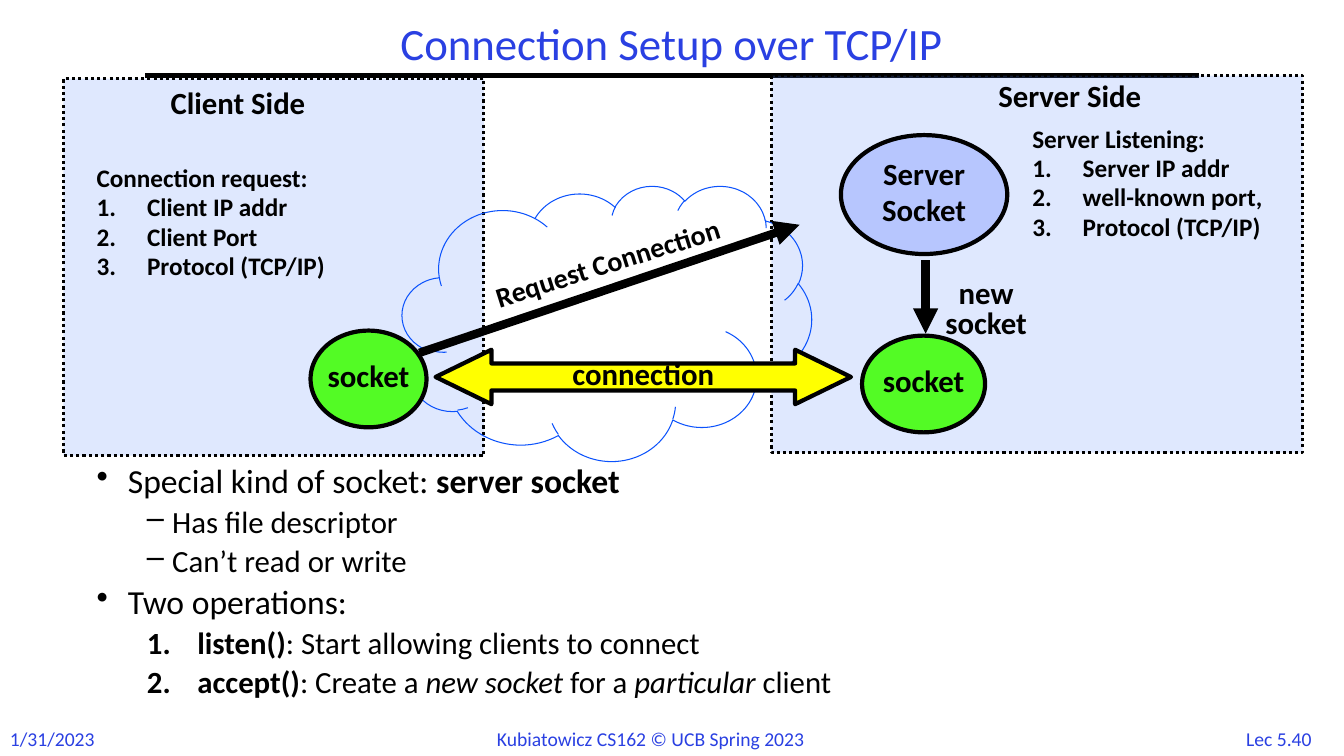
from lxml import etree
from pptx import Presentation
from pptx.dml.color import RGBColor
from pptx.enum.dml import MSO_LINE
from pptx.enum.shapes import MSO_CONNECTOR, MSO_SHAPE
from pptx.enum.text import MSO_ANCHOR, MSO_AUTO_SIZE, PP_ALIGN
from pptx.oxml.ns import qn
from pptx.util import Inches, Pt

RECTANGLE, ELLIPSE = MSO_SHAPE.RECTANGLE, MSO_SHAPE.OVAL
CLOUD, DOUBLE_ARROW = MSO_SHAPE.CLOUD, MSO_SHAPE.LEFT_RIGHT_ARROW
STRAIGHT, DOTTED = MSO_CONNECTOR.STRAIGHT, MSO_LINE.ROUND_DOT
LEFT, CENTER = PP_ALIGN.LEFT, PP_ALIGN.CENTER
MIDDLE, NO_AUTOFIT = MSO_ANCHOR.MIDDLE, MSO_AUTO_SIZE.NONE

COLORS = {
    "black": "000000", "heading": "2A40E2", "panel": "618FFD", "cloud": "0B52FC",
    "socket": "53FB25", "server": "B7C6FE", "connection": "FFFF00",
}


def color(name):
    return RGBColor.from_string(COLORS[name])


class SlideBuilder:
    font_name = "Calibri"

    def __init__(self, slide):
        self.slide = slide
        self.shapes = slide.shapes

    def format_run(self, run, size, color_name="black", style=""):
        run.font.name = self.font_name
        run.font.size = Pt(size)
        run.font.color.rgb = color(color_name)
        run.font.bold = "b" in style
        run.font.italic = "i" in style

    def bullet(self, paragraph, mark, margin, hanging):
        properties = paragraph._p.get_or_add_pPr()
        properties.set("marL", str(Inches(margin)))
        properties.set("indent", str(-Inches(hanging)))
        if mark == "1.":
            etree.SubElement(properties, qn("a:buAutoNum"), type="arabicPeriod")
        else:
            etree.SubElement(properties, qn("a:buChar"), char=mark)

    def lines(self, text_frame, texts, size, color_name="black", style="b",
              align=CENTER, spacing=0.8, gap=0.2):
        text_frame.text = "\n".join(texts)
        for index, paragraph in enumerate(text_frame.paragraphs):
            paragraph.alignment = align
            paragraph.line_spacing = spacing
            if index:
                paragraph.space_before = Pt(size * gap)
            for run in paragraph.runs:
                self.format_run(run, size, color_name, style)

    def title(self, text, *box):
        title = self.shapes.title
        title.left, title.top, title.width, title.height = map(Inches, box)
        title.text_frame.auto_size = NO_AUTOFIT
        title.text_frame.vertical_anchor = MIDDLE
        self.lines(title.text_frame, [text], 32, "heading", "", spacing=0.9)

    def text_box(self, *box):
        shape = self.shapes.add_textbox(*map(Inches, box))
        shape.text_frame.word_wrap = True
        return shape

    def label(self, texts, size, *box, **style):
        shape = self.text_box(*box)
        self.lines(shape.text_frame, texts, size, **style)
        return shape

    def numbered_list(self, heading, items, *box):
        shape = self.text_box(*box)
        self.lines(shape.text_frame, [heading, *items], 18, align=LEFT)
        for paragraph in shape.text_frame.paragraphs[1:]:
            self.bullet(paragraph, "1.", 0.5, 0.5)

    def outline(self, items, *box):
        text_frame = self.text_box(*box).text_frame
        for index, (mark, size, margin, hanging, runs) in enumerate(items):
            paragraph = text_frame.add_paragraph() if index else text_frame.paragraphs[0]
            self.bullet(paragraph, mark, margin, hanging)
            paragraph.line_spacing = 0.85
            if index:
                paragraph.space_before = Pt(size * 0.25)
            for text, style in runs:
                run = paragraph.add_run()
                run.text = text
                self.format_run(run, size, style=style)

    def shape(self, kind, box, fill=None, line="black", width=3.0, texts=()):
        shape = self.shapes.add_shape(kind, *map(Inches, box))
        shape.shadow.inherit = False
        if fill:
            shape.fill.solid()
            shape.fill.fore_color.rgb = color(fill)
        else:
            shape.fill.background()
        shape.line.color.rgb = color(line)
        shape.line.width = Pt(width)
        if texts:
            shape.text_frame.word_wrap = False
            shape.text_frame.vertical_anchor = MIDDLE
            self.lines(shape.text_frame, texts, 22)
        return shape

    def panel(self, *box):
        panel = self.shape(RECTANGLE, box, "panel", width=2.25)
        panel.line.dash_style = DOTTED
        fill_color = panel._element.spPr.find(qn("a:solidFill"))[0]
        etree.SubElement(fill_color, qn("a:alpha"), val="20000")

    def line(self, start, end, width, arrow=False):
        connector = self.shapes.add_connector(STRAIGHT, *map(Inches, (*start, *end)))
        connector.line.color.rgb = color("black")
        connector.line.width = Pt(width)
        if arrow:
            etree.SubElement(connector.line._get_or_add_ln(), qn("a:tailEnd"), type="triangle")
        etree.SubElement(connector._element.spPr, qn("a:effectLst"))


def main():
    presentation = Presentation()
    presentation.slide_width, presentation.slide_height = Inches(13.33), Inches(7.5)
    builder = SlideBuilder(presentation.slides.add_slide(presentation.slide_layouts[5]))

    # Title, rule and footer
    builder.title("Connection Setup over TCP/IP", 1.44, 0.17, 10.44, 0.58)
    builder.line((1.44, 0.75), (11.89, 0.75), 3)
    for text, left, width, align in (
        ("1/31/2023", 0, 1.3, LEFT),
        ("Kubiatowicz CS162 © UCB Spring 2023", 4.83, 3.68, LEFT),
        ("Lec 5.40", 12.2, 0.97, CENTER),
    ):
        builder.label([text], 14, left, 7.16, width, 0.34, color_name="heading",
                      style="", align=align, spacing=1.0)

    # Client and server panels with the network between them
    builder.panel(0.63, 0.78, 4.17, 3.74)
    builder.panel(7.65, 0.75, 5.27, 3.74)
    builder.shape(CLOUD, (3.99, 1.84, 4.06, 2.73), line="cloud", width=0.75)
    builder.label(["Client Side"], 22, 1.46, 0.85, 1.8, 0.39)
    builder.label(["Server Side"], 22, 9.66, 0.78, 1.9, 0.39)
    builder.numbered_list("Connection request:",
                          ["Client IP addr", "Client Port", "Protocol (TCP/IP)"],
                          0.86, 1.62, 2.78, 1.25)
    builder.numbered_list("Server Listening:",
                          ["Server IP addr", "well-known port,", "Protocol (TCP/IP)"],
                          10.14, 1.23, 2.78, 1.25)

    # Sockets
    builder.shape(ELLIPSE, (3.08, 3.28, 1.15, 0.96), "socket", texts=["socket"])
    builder.shape(ELLIPSE, (8.34, 1.34, 1.65, 1.18), "server", texts=["Server", "Socket"])
    builder.line((9.18, 2.58), (9.18, 3.31), 6, arrow=True)
    builder.label(["new", "socket"], 22, 9.19, 2.74, 1.18, 0.69, gap=0)
    builder.shape(ELLIPSE, (8.55, 3.33, 1.22, 0.96), "socket", texts=["socket"])

    # Connection and request arrows
    connection = builder.shape(DOUBLE_ARROW, (4.32, 3.47, 4.12, 0.54), "connection",
                               texts=["connection"])
    connection.adjustments[0], connection.adjustments[1] = 0.496, 1.026
    request = builder.label(["Request Connection"], 20, 4.57, 2.45, 2.93, 0.37)
    request.rotation = 342.5
    builder.line((4.16, 3.5), (7.93, 2.23), 6, arrow=True)

    # Explanation
    topic, detail, step = ("•", 24, 0.31, 0.31), ("–", 22, 0.75, 0.25), ("1.", 22, 1, 0.5)
    builder.outline([
        (*topic, [("Special kind of socket: ", ""), ("server socket", "b")]),
        (*detail, [("Has file descriptor", "")]),
        (*detail, [("Can’t read or write", "")]),
        (*topic, [("Two operations:", "")]),
        (*step, [("listen()", "b"), (": Start allowing clients to connect", "")]),
        (*step, [("accept()", "b"), (": Create a ", ""), ("new socket", "i"),
                 (" for a ", ""), ("particular ", "i"), ("client", "")]),
    ], 0.86, 4.58, 11.5, 2.5)

    presentation.save("out.pptx")


if __name__ == "__main__":
    main()
